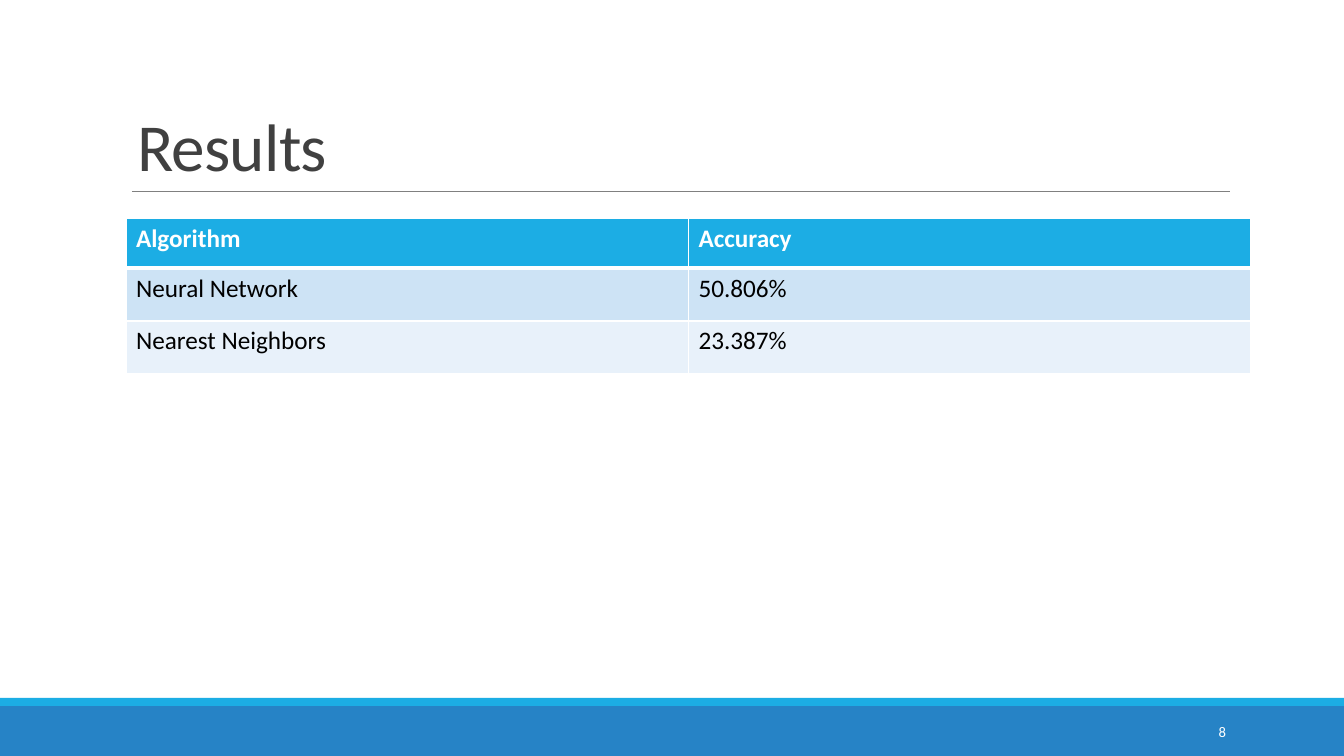
"""Build the Results slide: title, accuracy table and footer bars."""
from lxml.etree import SubElement as Sub
from pptx import Presentation
from pptx.dml.color import RGBColor
from pptx.enum.shapes import MSO_CONNECTOR as Link, MSO_SHAPE as Shape
from pptx.enum.text import MSO_ANCHOR as Anchor, PP_ALIGN as Align
from pptx.oxml.ns import qn
from pptx.util import Emu, Pt

WHITE = RGBColor(0xFF, 0xFF, 0xFF)
BLACK = RGBColor(0, 0, 0)
GREY = RGBColor(0x80, 0x80, 0x80)
DARK = RGBColor(0x40, 0x40, 0x40)
CYAN = RGBColor(0x1C, 0xAD, 0xE4)
BLUE = RGBColor(0x26, 0x83, 0xC6)
PALE = RGBColor(0xCD, 0xE3, 0xF5)
FAINT = RGBColor(0xE8, 0xF1, 0xFA)

TITLE = "Results"
PAGE = "8"
ROWS = [
    ("Algorithm", "Accuracy"),
    ("Neural Network", "50.806%"),
    ("Nearest Neighbors", "23.387%"),
]
FILLS = [CYAN, PALE, FAINT]
HEIGHTS = [50, 53, 53]
BARS = [(706, 50, BLUE), (698, 8, CYAN)]
WIDTH, HEIGHT = 1344, 756


def px(*nums):
    return [Emu(round(n * 914400 / 100.8)) for n in nums]


def style(para, size, color, bold=False):
    font = para.font
    font.name, font.size, font.bold = "Calibri", Pt(size), bold
    font.color.rgb = color


def edge(cell, side, width):
    line = Sub(cell._tc.get_or_add_tcPr(), qn("a:ln" + side), w=str(Pt(width)))
    Sub(Sub(line, qn("a:solidFill")), qn("a:srgbClr"), val=str(WHITE))


def add_bars(slide):
    for top, high, color in BARS:
        bar = slide.shapes.add_shape(Shape.RECTANGLE, *px(0, top, WIDTH, high))
        bar.shadow.inherit = False
        bar.fill.solid()
        bar.fill.fore_color.rgb = color
        bar.line.fill.background()


def add_rule(slide):
    rule = slide.shapes.add_connector(Link.STRAIGHT, *px(132, 191, 1230, 191))
    rule.line.color.rgb = GREY
    rule.line.width = Pt(0.5)
    Sub(rule._element.spPr, qn("a:effectLst"))


def set_title(slide):
    title = slide.shapes.title
    title.left, title.top, title.width, title.height = px(127, 30, 1109, 160)
    frame = title.text_frame
    frame.text = TITLE
    frame.vertical_anchor = Anchor.BOTTOM
    para = frame.paragraphs[0]
    para.alignment = Align.LEFT
    para.line_spacing = 0.85
    style(para, 48, DARK)
    para.runs[0].font._element.set("spc", "-50")


def add_grid(slide):
    box = px(126, 218, 1125, sum(HEIGHTS))
    grid = slide.shapes.add_table(len(ROWS), len(ROWS[0]), *box).table
    for r, texts in enumerate(ROWS):
        grid.rows[r].height = px(HEIGHTS[r])[0]
        head = r == 0
        for c, text in enumerate(texts):
            cell = grid.cell(r, c)
            cell.text = text
            style(cell.text_frame.paragraphs[0], 18, WHITE if head else BLACK, head)
            for side in "LRTB":
                thick = (r, side) in ((0, "B"), (1, "T"))
                edge(cell, side, 3 if thick else 1)
            cell.fill.solid()
            cell.fill.fore_color.rgb = FILLS[r]


def add_page(slide):
    frame = slide.shapes.add_textbox(*px(1092, 712, 144, 40)).text_frame
    frame.word_wrap = True
    frame.vertical_anchor = Anchor.MIDDLE
    frame.text = PAGE
    para = frame.paragraphs[0]
    para.alignment = Align.RIGHT
    style(para, 10.5, WHITE)


def main():
    deck = Presentation()
    deck.slide_width, deck.slide_height = px(WIDTH, HEIGHT)
    slide = deck.slides.add_slide(deck.slide_layouts[5])
    for draw in (add_bars, add_rule, set_title, add_grid, add_page):
        draw(slide)
    deck.save("out.pptx")


if __name__ == "__main__":
    main()
